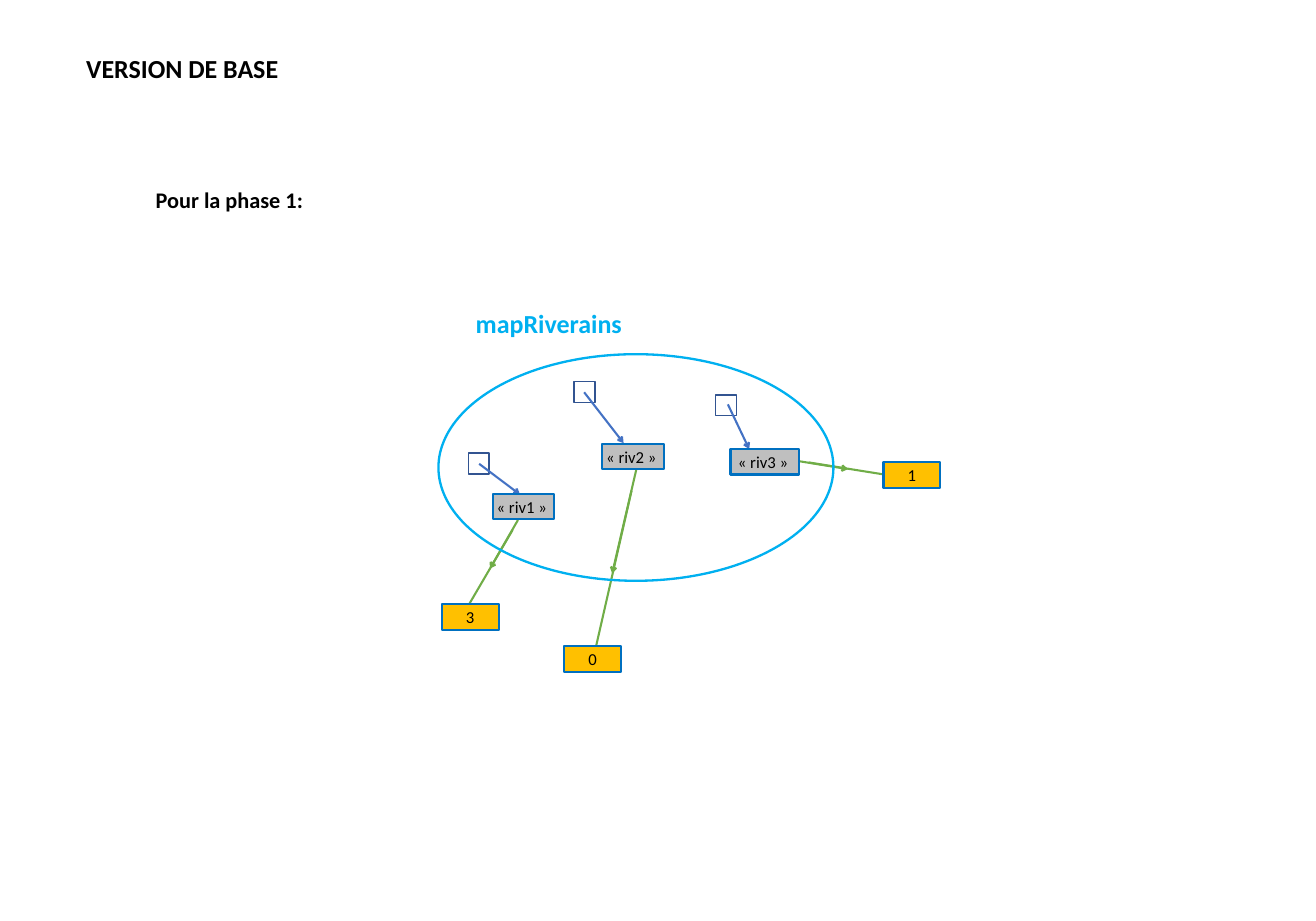
import pptx
import pptx.util
import pptx.dml.color
import pptx.enum.shapes
import pptx.enum.text
import pptx.oxml.ns
import lxml.etree

Pt = pptx.util.Pt
SHAPES = pptx.enum.shapes.MSO_SHAPE
ALIGN = pptx.enum.text.PP_ALIGN
ANCHOR = pptx.enum.text.MSO_ANCHOR
BLACK, BLUE, SKY, GREEN = "000000", "4472C4", "00B0F0", "70AD47"
BOX_H, COUNT_W, NODE = 27.4, 61.2, 22.3


def paint(form, code):
    """Set a fill, line or font colour from a hex string."""
    color = pptx.dml.color.RGBColor.from_string(code)
    if hasattr(form, "solid"):
        form.solid()
        form.fore_color.rgb = color
    else:
        form.color.rgb = color


def add_run(par, text, size, color, bold=False):
    """Add one run of text to a paragraph."""
    run = par.add_run()
    run.text = text
    run.font.name = "Calibri"
    run.font.size = Pt(size)
    run.font.bold = bold
    paint(run.font, color)


def add_form(slide, kind, area, line, width, fill=None):
    """Add a preset shape with an outline and an optional fill."""
    form = slide.shapes.add_shape(kind, *map(Pt, area))
    form.shadow.inherit = False
    paint(form.line, line)
    form.line.width = Pt(width)
    if fill:
        paint(form.fill, fill)
    else:
        form.fill.background()
    return form


def add_box(slide, area, text, fill, inset):
    """Add a filled box with a centred label."""
    box = add_form(slide, SHAPES.RECTANGLE, area, "0070C0", 2.25, fill)
    frame = box.text_frame
    frame.word_wrap = True
    frame.vertical_anchor = ANCHOR.MIDDLE
    frame.margin_left = frame.margin_right = Pt(inset)
    frame.margin_top = frame.margin_bottom = Pt(3)
    par = frame.paragraphs[0]
    par.alignment = ALIGN.CENTER
    add_run(par, text, 18, BLACK)


def add_line(slide, start, end, color, arrow=False):
    """Add a straight line, with an arrowhead at its end if wanted."""
    kind = pptx.enum.shapes.MSO_CONNECTOR.STRAIGHT
    link = slide.shapes.add_connector(kind, *map(Pt, start + end))
    paint(link.line, color)
    link.line.width = Pt(2.25)
    qn = pptx.oxml.ns.qn
    if arrow:
        lxml.etree.SubElement(link.line._get_or_add_ln(), qn("a:tailEnd"), type="arrow")
    lxml.etree.SubElement(link._element.spPr, qn("a:effectLst"))


def set_text(shape, area, text, size, color):
    """Place a heading and fill it with bold text."""
    shape.left, shape.top, shape.width, shape.height = map(Pt, area)
    frame = shape.text_frame
    frame.word_wrap = False
    frame.auto_size = pptx.enum.text.MSO_AUTO_SIZE.SHAPE_TO_FIT_TEXT
    frame.vertical_anchor = ANCHOR.TOP
    par = frame.paragraphs[0]
    par.alignment = ALIGN.LEFT
    add_run(par, text, size, color, True)


def add_text(slide, area, text, size, color):
    """Add a text box with a bold heading."""
    set_text(slide.shapes.add_textbox(*map(Pt, area)), area, text, size, color)


def main():
    """Build the slide and save it."""
    deck = pptx.Presentation()
    deck.slide_width, deck.slide_height = Pt(1417.7), Pt(992.2)
    slide = deck.slides.add_slide(deck.slide_layouts[5])
    set_text(slide.shapes.title, (85.7, 53.3, 223.9, 41), "VERSION DE BASE", 28, BLACK)

    count_links = [
        ((558, 560.2), (527.8, 612.7), (552.2, 571), (505.4, 650.9)),
        ((685.4, 506.2), (659.5, 617.8), (680.4, 528.5), (641.5, 699.1)),
        ((860.4, 496.8), (913.7, 505.4), (871.2, 498.2), (952.6, 511.2)),
    ]
    for start, tip, mid, end in count_links:
        add_line(slide, start, tip, GREEN, True)
        add_line(slide, mid, end, GREEN)

    add_form(slide, SHAPES.OVAL, (472.3, 381.6, 425.5, 244.1), SKY, 2.5)
    for left, top in [(504.7, 488.2), (771.1, 425.5), (618.5, 411.1)]:
        add_form(slide, SHAPES.RECTANGLE, (left, top, NODE, NODE), "325491", 1.5)

    key_links = [
        ((784.1, 435.6), (807.1, 483.8)),
        ((629.3, 422.6), (671.8, 477.4)),
        ((516.2, 499.7), (560.2, 532.8)),
    ]
    for start, end in key_links:
        add_line(slide, start, end, BLUE, True)

    keys = [
        (531.4, 532.1, 65.5, "« riv1 » "),
        (648.7, 478.1, 67, "« riv2 » "),
        (787, 483.8, 74.2, "« riv3 » "),
    ]
    for left, top, width, text in keys:
        add_box(slide, (left, top, width, BOX_H), text, "BFBFBF", 0)

    for left, top, text in [(475.9, 650.9, "3"), (607.7, 696.2, "0"), (951.8, 498.2, "1")]:
        add_box(slide, (left, top, COUNT_W, BOX_H), text, "FFC000", 7.2)

    add_text(slide, (505.4, 327.6, 173.5, 41), "mapRiverains", 28, SKY)
    add_text(slide, (160.6, 197.3, 175, 36), "Pour la phase 1:", 24, BLACK)
    deck.save("out.pptx")


if __name__ == "__main__":
    main()
